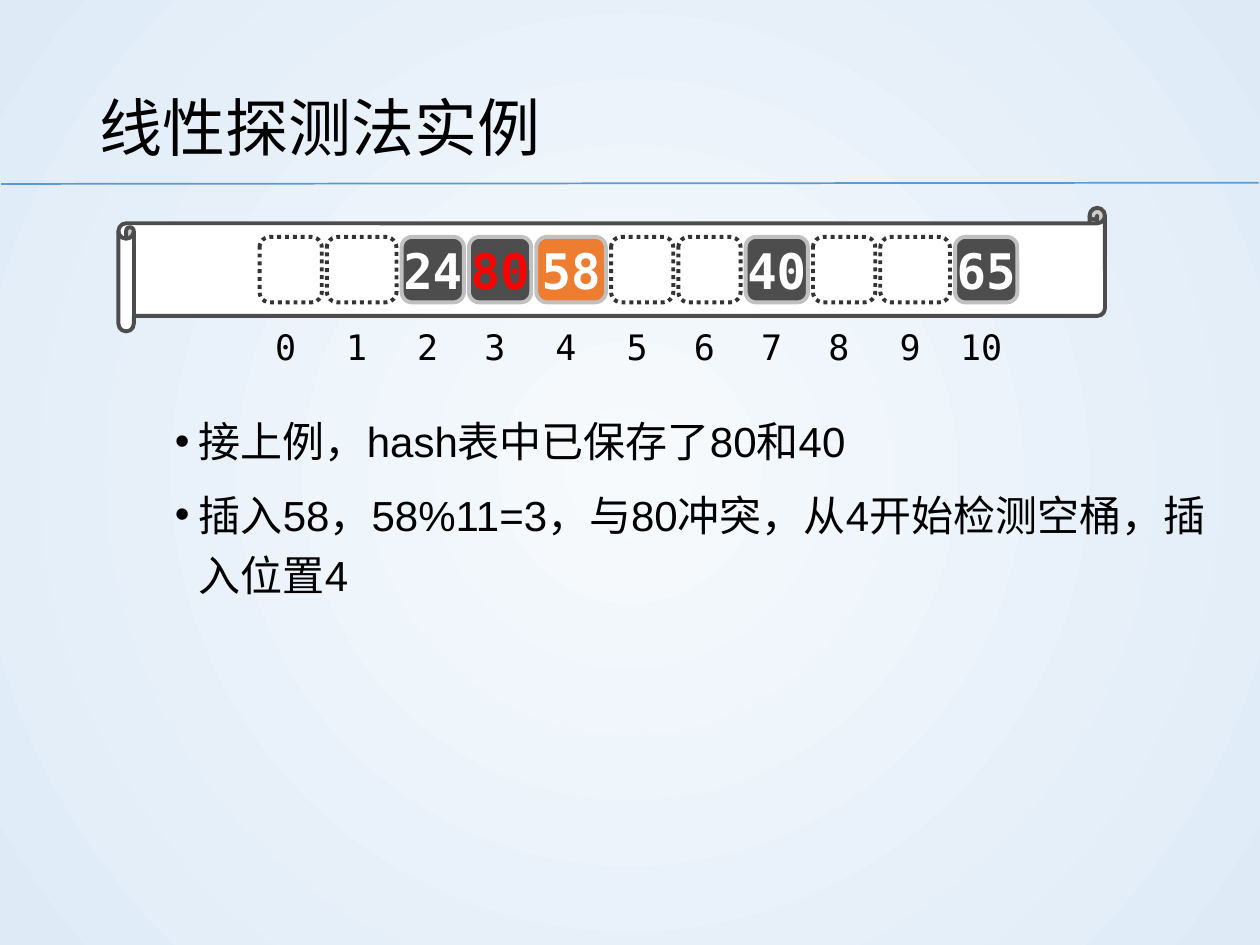
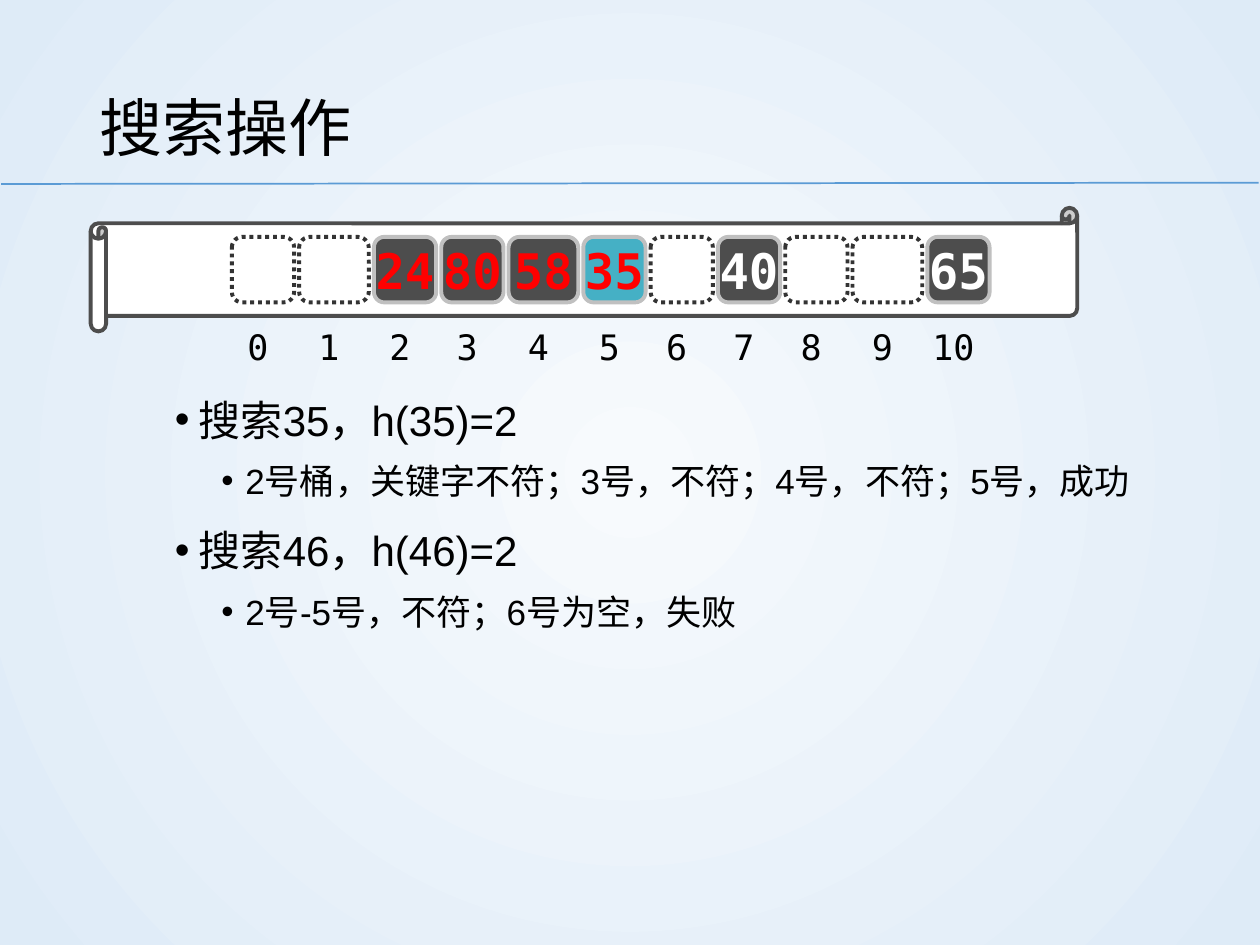
from dataclasses import dataclass
from typing import Any, NamedTuple

from lxml import etree
from pptx import Presentation
from pptx.dml.color import RGBColor
from pptx.enum.dml import MSO_LINE
from pptx.enum.lang import MSO_LANGUAGE_ID
from pptx.enum.shapes import MSO_CONNECTOR, MSO_SHAPE
from pptx.enum.text import MSO_ANCHOR, PP_ALIGN
from pptx.oxml.ns import qn
from pptx.util import Emu, Inches, Pt

ROUND = MSO_SHAPE.ROUNDED_RECTANGLE
SCROLL = MSO_SHAPE.HORIZONTAL_SCROLL
STRAIGHT = MSO_CONNECTOR.STRAIGHT
DOTS = MSO_LINE.ROUND_DOT
MIDDLE = MSO_ANCHOR.MIDDLE
CENTER = PP_ALIGN.CENTER
CHINESE = MSO_LANGUAGE_ID.SIMPLIFIED_CHINESE

COLORS = {
    "core": "F7FAFD", "edge": "DEEBF7", "rule": "5B9BD5",
    "black": "000000", "white": "FFFFFF", "red": "FF0000",
    "dark": "4D4D4D", "dots": "333333", "rim": "C0C0C0",
    "orange": "ED7D31", "teal": "45B0C5",
}
SANS, MONO = "Arial", "DejaVu Sans Mono"

# The slide is a grid of 100 columns by 75 rows
WIDTH, HEIGHT = Inches(10), Inches(7.5)
COLS, ROWS = 100, 75

# Slots share 93 units: most take 9, a few take 10
WIDE = {1, 4, 9}
SLOTS = 11
UNIT = 55.2 / 93
GAP = 0.4


class Box(NamedTuple):
    left: float
    top: float
    width: float
    height: float


class Key(NamedTuple):
    text: str
    fill: str = "dark"
    ink: str = "white"


class Level(NamedTuple):
    size: int
    indent: float
    before: float


class Point(NamedTuple):
    text: str
    level: int = 0


@dataclass
class Page:
    title: str
    left: float
    top: float
    keys: dict[int, Key]
    points: list[Point]


LEVELS = [Level(24, 0.19, 7.5), Level(20, 0.56, 3.8)]
HANG = 0.19

PAGES = [
    Page("线性探测法实例", 9.4, 31.7,
         {2: Key("24"), 3: Key("80", ink="red"), 4: Key("58", "orange"),
          7: Key("40"), 10: Key("65")},
         [Point("接上例，hash表中已保存了80和40"),
          Point("插入58，58%11=3，与80冲突，从4开始检测空桶，插入位置4")]),
    Page("搜索操作", 7.2, 30,
         {2: Key("24", ink="red"), 3: Key("80", ink="red"),
          4: Key("58", ink="red"), 5: Key("35", "teal", "red"),
          7: Key("40"), 10: Key("65")},
         [Point("搜索35，h(35)=2"),
          Point("2号桶，关键字不符；3号，不符；4号，不符；5号，成功", 1),
          Point("搜索46，h(46)=2"),
          Point("2号-5号，不符；6号为空，失败", 1)]),
]


def color(name: str) -> RGBColor:
    return RGBColor.from_string(COLORS[name])


def col(count: float) -> Emu:
    return Emu(round(WIDTH * count / COLS))


def row(count: float) -> Emu:
    return Emu(round(HEIGHT * count / ROWS))


def place(box: Box) -> tuple[Emu, Emu, Emu, Emu]:
    return col(box.left), row(box.top), col(box.width), row(box.height)


def style(para: Any, size: int, face: str, ink: str, bold: bool = False) -> None:
    for run in para.runs:
        font = run.font
        font.size, font.name, font.bold = Pt(size), face, bold
        font.color.rgb = color(ink)
        font.language_id = CHINESE


# Shared backdrop, held by the master
def paint(master: Any) -> None:
    fill = master.background.fill
    fill.gradient()
    for stop, name, spot in zip(fill.gradient_stops, ("core", "edge"), (0, 1)):
        stop.color.rgb, stop.position = color(name), spot
    grad = master.element.find(".//" + qn("a:gradFill"))
    ring = etree.Element(qn("a:path"), path="circle")
    etree.SubElement(ring, qn("a:fillToRect"),
                     dict.fromkeys("ltrb", "50000"))
    grad.replace(grad.find(qn("a:lin")), ring)


def add_rule(slide: Any) -> None:
    rule = slide.shapes.add_connector(
        STRAIGHT, col(0.1), row(14.6), col(99.9), row(14.5))
    rule.line.color.rgb, rule.line.width = color("rule"), Pt(1)
    etree.SubElement(rule.element.spPr, qn("a:effectLst"))


def add_title(slide: Any, text: str) -> None:
    frame = slide.shapes.add_textbox(*place(Box(6.9, 4, 86.2, 10.8))).text_frame
    frame.word_wrap, frame.vertical_anchor = True, MIDDLE
    frame.text = text
    para = frame.paragraphs[0]
    para.line_spacing = 1.2
    style(para, 36, SANS, "black")


def add_points(slide: Any, top: float, points: list[Point]) -> None:
    box = Box(12.9, top, 85, 73.3 - top)
    frame = slide.shapes.add_textbox(*place(box)).text_frame
    frame.word_wrap = True
    frame.text = "\n".join(point.text for point in points)
    for para, point in zip(frame.paragraphs, points):
        level = LEVELS[point.level]
        para.level = point.level
        para.line_spacing, para.space_before = 1.2, Pt(level.before)
        props = para._p.get_or_add_pPr()
        props.set("marL", str(Inches(level.indent)))
        props.set("indent", str(-Inches(HANG)))
        etree.SubElement(props, qn("a:buFont"), typeface=SANS)
        etree.SubElement(props, qn("a:buChar"), char="•")
        style(para, level.size, SANS, "black")


# Hash table: scroll, slots and their numbers
def add_part(group: Any, kind: Any, box: Box, fill: str = "",
             line: str = "") -> Any:
    part = group.shapes.add_shape(kind, *place(box))
    part.shadow.inherit = False
    if fill:
        part.fill.solid()
        part.fill.fore_color.rgb = color(fill)
        part.line.color.rgb, part.line.width = color(line), Pt(2.25)
    else:
        part.fill.background()
        part.line.fill.background()
    return part


def label(part: Any, text: str, size: int, ink: str, bold: bool) -> None:
    frame = part.text_frame
    frame.margin_left = frame.margin_right = 0
    frame.margin_top = frame.margin_bottom = 0
    frame.word_wrap, frame.vertical_anchor = False, MIDDLE
    frame.text = text
    frame.paragraphs[0].alignment = CENTER
    style(frame.paragraphs[0], size, MONO, ink, bold)


def add_table(slide: Any, left: float, keys: dict[int, Key]) -> None:
    group = slide.shapes.add_group_shape()
    add_part(group, SCROLL, Box(left, 16.5, 78.3, 9.8), "white", "dark")
    start = left + 11.2
    for slot in range(SLOTS):
        step = UNIT * (10 if slot in WIDE else 9)
        cell = Box(start, 18.8, step - GAP, 5.2)
        if slot in keys:
            key = keys[slot]
            part = add_part(group, ROUND, cell, key.fill, "rim")
            label(part, key.text, 28, key.ink, True)
        else:
            part = add_part(group, ROUND, cell, "white", "dots")
            part.line.dash_style = DOTS
        mark = add_part(group, ROUND, Box(start - GAP, 25.2, cell.width, 4.6))
        label(mark, str(slot), 20, "black", False)
        start += step


def main() -> None:
    deck = Presentation()
    deck.slide_width, deck.slide_height = WIDTH, HEIGHT
    paint(deck.slide_master)
    for page in PAGES:
        slide = deck.slides.add_slide(deck.slide_layouts[6])
        add_rule(slide)
        add_title(slide, page.title)
        add_points(slide, page.top, page.points)
        add_table(slide, page.left, page.keys)
    deck.save("out.pptx")


if __name__ == "__main__":
    main()
